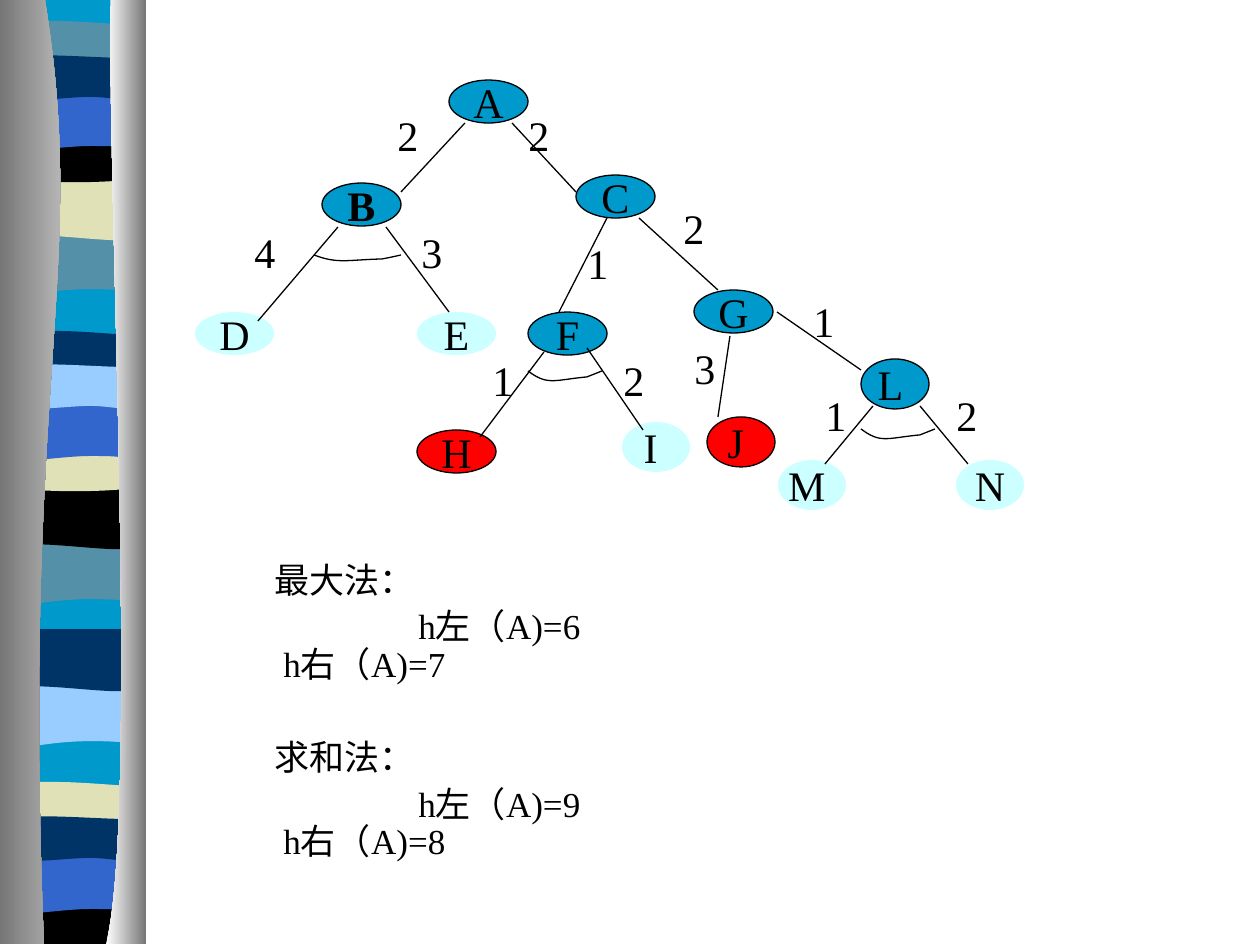
from lxml import etree
from pptx import Presentation
from pptx import util as u
from pptx.dml import color
from pptx.enum import shapes, text
from pptx.oxml import ns

SCALE = 914400 / 126
FONT = "Times New Roman"
COLORS = {
    "blue": "0099CC", "teal": "5490A8", "sand": "E1E1B7", "black": "000000",
    "royal": "3366CC", "navy": "003366", "sky": "99CCFF", "pale": "CCFFFF",
    "red": "FF0000", "gray": "767676", "silver": "D3D3D3", "white": "FFFFFF",
}

OUTLINES = {
    "plain": [(136, 0), (136, 942), (0, 942), (0, 0)],
    "swell": [(136, 0), (136, 59), (42, 49, 23, 69, 0, 59), (0, 0)],
    "dip": [(136, 0), (136, 59), (113, 69, 42, 52, 0, 59), (0, 0)],
    "lens": [(136, 6), (136, 37), (113, 42, 23, 42, 0, 37), (0, 6),
             (8, 0, 29, 1, 52, 1), (74, 1, 118, 5, 136, 6)],
    "bowl": [(136, 0), (136, 41), (113, 48, 23, 48, 0, 41), (0, 0),
             (83, 6, 107, 0, 136, 0)],
    "arch": [(136, 0), (136, 59), (115, 53, 106, 53, 83, 53),
             (60, 53, 20, 59, 0, 59), (0, 0)],
    "ribbon": [(136, 6), (136, 45), (127, 52, 106, 45, 83, 45),
               (60, 45, 14, 52, 0, 45), (0, 6), (19, 0, 92, 6, 115, 6),
               (137, 6, 132, 6, 136, 6)],
    "base": [(136, 0), (136, 47), (0, 47), (0, 0), (83, 6, 107, 0, 136, 0)],
}
BANDS = [
    ("plain", 0, "blue"), ("swell", 233, "teal"), ("dip", 178, "sand"),
    ("lens", 20, "teal"), ("bowl", 136, "black"), ("arch", 93, "royal"),
    ("ribbon", 52, "navy"), ("swell", 543, "teal"), ("dip", 487, "black"),
    ("lens", 330, "navy"), ("bowl", 445, "sand"), ("arch", 403, "royal"),
    ("ribbon", 361, "sky"), ("swell", 685, "sky"), ("dip", 629, "navy"),
    ("lens", 781, "sand"), ("base", 897, "black"), ("arch", 856, "royal"),
    ("ribbon", 813, "navy"),
]
PILLARS = [
    ([(45, 0), (89, 272, 21, 372, 44, 944), (0, 944), (0, 0)], "gray", "silver"),
    ([(111, 0), (106, 158, 140, 814, 106, 944), (146, 944), (146, 0)], "white", "gray"),
]
WIDE, ROUND = (79, 43), (68, 50)
NODES = [
    ("A", 449, 80, WIDE, "blue"), ("B", 322, 183, WIDE, "blue"),
    ("C", 576, 175, WIDE, "blue"), ("D", 195, 312, WIDE, "pale"),
    ("E", 417, 312, WIDE, "pale"), ("F", 528, 312, WIDE, "blue"),
    ("G", 694, 290, WIDE, "blue"), ("H", 417, 430, WIDE, "red"),
    ("I ", 622, 422, ROUND, "pale"), ("J ", 707, 417, ROUND, "red"),
    ("L ", 861, 359, ROUND, "blue"), ("N", 956, 460, ROUND, "pale"),
    ("M ", 778, 460, ROUND, "pale"),
]
EDGES = [
    (465, 123, 401, 192), (512, 123, 576, 192), (338, 227, 258, 321),
    (386, 227, 449, 312), (607, 218, 559, 312), (639, 218, 718, 290),
    (544, 352, 480, 437), (587, 348, 643, 430), (730, 336, 718, 417),
    (777, 312, 861, 370), (873, 406, 825, 464), (920, 406, 968, 464),
]
SMALL_ARC = [(0, 0), (20, 15, 26, 9, 59, 6), (64, 4, 74, 0, 74, 0)]
LARGE_ARC = [(0, 0), (24, 9, 32, 5, 68, 4), (74, 3, 87, 0, 87, 0)]
ARCS = [(LARGE_ARC, 314, 255), (SMALL_ARC, 528, 371), (SMALL_ARC, 861, 429)]
COSTS = [
    ("2", 385, 103), ("2", 516, 103), ("2", 671, 196), ("2", 944, 383),
    ("2", 611, 348), ("4", 242, 220), ("3", 409, 220), ("1", 575, 231),
    ("1", 480, 348), ("3", 682, 336), ("1", 801, 289), ("1", 813, 383),
]
METHODS = [("最大法：", "h左（A)=6\vh右（A)=7"), ("求和法：", "h左（A)=9\vh右（A)=8")]


def px(length):
    """Turn px into EMU."""
    return u.Emu(round(length * SCALE))


def rgb(name):
    """Look up a named colour."""
    return color.RGBColor.from_string(COLORS[name])


def apply(target, values):
    """Set attributes from a dict."""
    for name, value in values.items():
        setattr(target, name, value)


def style_line(line):
    """Draw a thin black line."""
    line.color.rgb = rgb("black")
    line.width = u.Pt(0.75)


def style_font(paragraph, size, bold=False):
    """Set the font of a paragraph."""
    apply(paragraph.font, {"name": FONT, "size": u.Pt(size), "bold": bold})
    paragraph.font.color.rgb = rgb("black")


def bend(shape, outline):
    """Join each run of three line steps of a curve into one cubic step."""
    steps = list(shape._element.iter(ns.qn("a:lnTo")))
    for segment in outline[1:]:
        count = len(segment) // 2
        parts, steps = steps[:count], steps[count:]
        if count == 3:
            curve = etree.Element(ns.qn("a:cubicBezTo"))
            parts[0].addprevious(curve)
            for part in parts:
                curve.append(part[0])
                part.getparent().remove(part)


def add_outline(parent, outline, left=0, top=0, close=True):
    """Add a freeform of lines (pairs) and cubic curves (sixes)."""
    points = [(px(segment[i] + left), px(segment[i + 1] + top))
              for segment in outline for i in range(0, len(segment), 2)]
    builder = parent.shapes.build_freeform(*points[0], scale=1.0)
    builder.add_line_segments(points[1:], close=close)
    shape = builder.convert_to_shape()
    bend(shape, outline)
    shape.shadow.inherit = False
    shape.line.fill.background()
    return shape


def add_band(group, kind, top, fill):
    """Add one coloured band of the column."""
    shape = add_outline(group, OUTLINES[kind], 7, top)
    shape.fill.solid()
    shape.fill.fore_color.rgb = rgb(fill)


def add_pillar(group, outline, start, end):
    """Add a curved side with a horizontal gradient."""
    fill = add_outline(group, outline).fill
    fill.gradient()
    fill.gradient_angle = 0
    for stop, name in zip(fill.gradient_stops, (start, end)):
        stop.color.rgb = rgb(name)


def add_arc(slide, outline, left, top):
    """Add the arc that joins two AND branches."""
    shape = add_outline(slide, outline, left, top, close=False)
    shape.fill.background()
    style_line(shape.line)


def add_node(slide, label, left, top, size, fill):
    """Add a labelled tree node."""
    shape = slide.shapes.add_shape(shapes.MSO_SHAPE.OVAL, px(left), px(top), *map(px, size))
    shape.shadow.inherit = False
    shape.fill.solid()
    shape.fill.fore_color.rgb = rgb(fill)
    if fill == "pale":
        shape.line.fill.background()
    else:
        style_line(shape.line)
    apply(shape.text_frame, {"text": label, "word_wrap": False,
                             "vertical_anchor": text.MSO_ANCHOR.MIDDLE})
    paragraph = shape.text_frame.paragraphs[0]
    paragraph.alignment = text.PP_ALIGN.CENTER
    style_font(paragraph, 24, bold=label == "B")


def add_edge(slide, *ends):
    """Add a straight tree edge."""
    edge = slide.shapes.add_connector(shapes.MSO_CONNECTOR.STRAIGHT, *map(px, ends))
    style_line(edge.line)
    etree.SubElement(edge._element.spPr, ns.qn("a:effectLst"))


def add_cost(slide, cost, left, top):
    """Add the cost beside an edge."""
    frame = slide.shapes.add_textbox(px(left), px(top), px(48), px(63)).text_frame
    apply(frame, {"text": cost, "word_wrap": True})
    style_font(frame.paragraphs[0], 24)


def add_methods(slide):
    """Add the two cost methods with their results."""
    frame = slide.shapes.add_textbox(px(262), px(557), px(462), px(377)).text_frame
    frame.word_wrap = True
    for index, (heading, results) in enumerate(METHODS):
        title = frame.add_paragraph() if index else frame.paragraphs[0]
        body = frame.add_paragraph()
        apply(title, {"text": heading, "line_spacing": 0.9, "space_before": u.Pt(31.5 * index)})
        apply(body, {"text": results, "line_spacing": 0.9, "space_before": u.Pt(5)})
        indents = body._p.get_or_add_pPr()
        indents.set("marL", str(px(9)))
        indents.set("indent", str(px(135)))
        for paragraph in (title, body):
            style_font(paragraph, 20)


def add_all(parent, add, items):
    """Add one element for each item."""
    for item in items:
        add(parent, *item)


def add_column(presentation, slide):
    """Build the decorative column and hand it to the slide master."""
    group = slide.shapes.add_group_shape()
    add_all(group, add_band, BANDS)
    add_all(group, add_pillar, PILLARS)
    presentation.slide_master.shapes._spTree.insert(2, group._element)


def main():
    """Build the search tree slide."""
    presentation = Presentation()
    apply(presentation, {"slide_width": px(1260), "slide_height": px(945)})
    slide = presentation.slides.add_slide(presentation.slide_layouts[6])
    add_column(presentation, slide)
    for add, items in ((add_node, NODES), (add_edge, EDGES), (add_arc, ARCS), (add_cost, COSTS)):
        add_all(slide, add, items)
    add_methods(slide)
    presentation.save("out.pptx")


if __name__ == "__main__":
    main()
